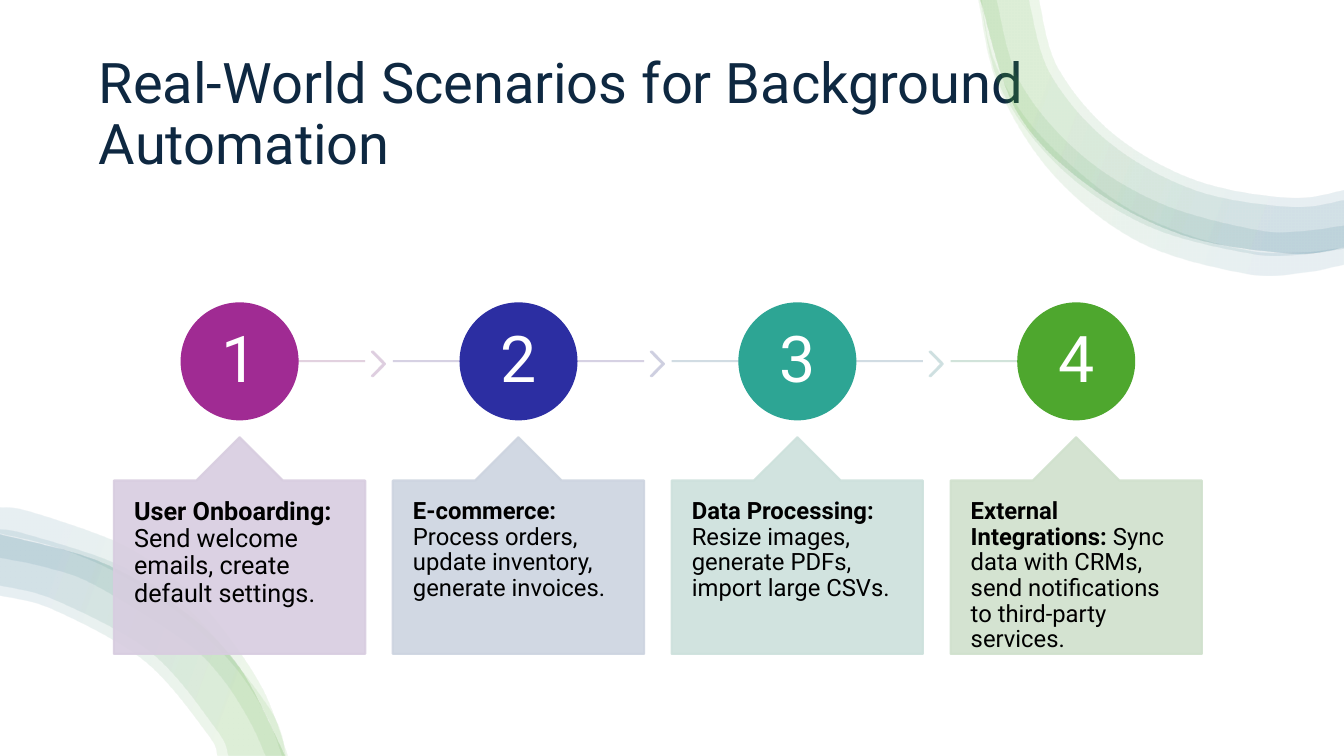
from lxml import etree
from pptx import Presentation
from pptx.dml.color import RGBColor
from pptx.enum.shapes import MSO_CONNECTOR, MSO_SHAPE
from pptx.enum.text import MSO_ANCHOR, MSO_AUTO_SIZE, PP_ALIGN
from pptx.oxml import parse_xml
from pptx.oxml.ns import nsdecls, qn
from pptx.util import Pt

STRAIGHT = MSO_CONNECTOR.STRAIGHT
RECTANGLE, CIRCLE, CHEVRON = MSO_SHAPE.RECTANGLE, MSO_SHAPE.OVAL, MSO_SHAPE.CHEVRON
CALLOUT = MSO_SHAPE.UP_ARROW_CALLOUT
LEFT, CENTER = PP_ALIGN.LEFT, PP_ALIGN.CENTER
TOP, MIDDLE = MSO_ANCHOR.TOP, MSO_ANCHOR.MIDDLE
NO_FIT = MSO_AUTO_SIZE.NONE


def paint(fill, color, opacity=100):
    fill.solid()
    fill.fore_color.rgb = RGBColor.from_string(color)
    if opacity < 100:
        tint = fill._xPr.find(".//" + qn("a:srgbClr"))
        etree.SubElement(tint, qn("a:alpha")).set("val", str(opacity * 1000))


def write(shape, text, heading="", size=17, color="000000",
          align=LEFT, anchor=TOP, inset=(7.2, 3.6)):
    frame = shape.text_frame
    frame.word_wrap = True
    frame.auto_size = NO_FIT
    frame.vertical_anchor = anchor
    frame.margin_left = frame.margin_right = Pt(inset[0])
    frame.margin_top = frame.margin_bottom = Pt(inset[1])
    para = frame.paragraphs[0]
    para.alignment = align
    para.line_spacing = 0.9
    for words, bold in ((heading, True), (text, False)):
        if words:
            span = para.add_run()
            span.text = words
            span.font.name = "Roboto"
            span.font.size = Pt(size)
            span.font.bold = bold
            paint(span.font.fill, color)


deck = Presentation()
deck.slide_width, deck.slide_height = Pt(960), Pt(540)
page = deck.slides.add_slide(deck.slide_layouts[5])

# Title on a white backdrop
title = page.shapes.title
title.left, title.top, title.width, title.height = Pt(63.4), Pt(36), Pt(833), Pt(93.6)
write(title, "Real-World Scenarios for Background Automation",
      size=40, color="0E2841", anchor=MIDDLE)
backdrop = page.shapes.add_shape(RECTANGLE, 0, 0, Pt(960), Pt(540))
paint(backdrop.fill, "FFFFFF")
backdrop.line.fill.background()
backdrop.shadow.inherit = False
title._element.addprevious(backdrop._element)

# Corner ribbons: each has an outer and an inner edge, given by knots
top_edge = [(700.6, 0), (726.5, 79.6), (777.6, 132.5), (845.3, 167.8),
            (920.9, 180.7), (960, 176.4)]
bottom_edge = [(203, 540), (168.9, 474.5), (124.6, 432), (69.3, 400.5), (0, 381.6)]
top_ribbons = [
    (top_edge,
     [(960, 135.4), (920.9, 141.1), (854.6, 128.9), (796.3, 96.5), (756, 49), (742.3, 0)]),
    (top_edge,
     [(960, 142.6), (920.9, 147.6), (852.5, 135.4), (792, 101.5), (750.2, 52.6), (735.1, 0)]),
    ([(700.6, 0), (715.7, 64.1), (758.9, 121), (820.1, 161.3), (892.1, 180.7),
      (929.5, 181.4), (960, 177.1)],
     [(960, 160.6), (928.1, 164.9), (894.2, 163.4), (828, 144.7), (771.1, 109.4),
      (728.6, 58.3), (712.1, 0)]),
    ([(699.1, 0), (713.5, 62.6), (753.1, 125.3), (814.3, 172.8), (889.9, 195.1),
      (930.2, 194.4), (960, 188.6)],
     [(960, 176.4), (928.8, 180), (892.1, 178.6), (839.5, 164.2), (791.3, 139),
      (738, 90.7), (710.6, 43.9), (701.3, 0)]),
]
bottom_ribbons = [
    ([(205.2, 540), (186.5, 491), (151.2, 439.9), (119.5, 410.4), (82.8, 387.4),
      (20.9, 365.8), (0, 362.9)],
     [(0, 381.6), (36, 390.2), (73.4, 404.6), (108.7, 424.8), (140.4, 449.3),
      (168.5, 478.1), (190.1, 511.9), (200.9, 540)]),
    (bottom_edge,
     [(0, 425.5), (38.2, 435.6), (103, 472.3), (147.6, 524.2), (154.8, 540)]),
    ([(203.8, 540), (193, 507.6), (144, 445), (112.3, 419.8), (76.3, 400.3),
      (17.3, 381.6), (0, 378.7)],
     [(0, 398.9), (31.7, 405.4), (67.7, 418.3), (131, 457.9), (157.7, 483.8),
      (177.8, 514.8), (189.4, 540)]),
    (bottom_edge,
     [(0, 418.3), (40.3, 429.1), (108, 466.6), (154.1, 521.3), (162.7, 540)]),
]
stops = "".join(
    f'<a:gs pos="{place * 1000}"><a:srgbClr val="{color}"><a:alpha val="10000"/></a:srgbClr></a:gs>'
    for place, color in ((16, "4EA72E"), (85, "156082")))

for ribbons, angle in ((top_ribbons, 20), (bottom_ribbons, 200)):
    for outer, inner in ribbons:
        # Two control points and an end point for each curve
        points = []
        for knots in (outer, inner):
            if points:
                points += [outer[-1], inner[0], inner[0]]
            padded = [knots[0], *knots, knots[-1]]
            for a, b, c, d in zip(padded, padded[1:], padded[2:], padded[3:]):
                points.append([q + (r - p) / 6 for p, q, r in zip(a, b, c)])
                points.append([r - (s - q) / 6 for q, r, s in zip(b, c, d)])
                points.append(c)
        builder = page.shapes.build_freeform(Pt(outer[0][0]), Pt(outer[0][1]))
        builder.add_line_segments([(Pt(x), Pt(y)) for x, y in points], close=True)
        ribbon = builder.convert_to_shape()

        # Join each three line segments into one curve
        segments = list(ribbon._element.iter(qn("a:lnTo")))
        for first, second, third in zip(segments[::3], segments[1::3], segments[2::3]):
            first.tag = qn("a:cubicBezTo")
            for segment in (second, third):
                first.append(segment[0])
                segment.getparent().remove(segment)
        ribbon.line.fill.background()
        ribbon.shadow.inherit = False
        ribbon._element.spPr.insert(2, parse_xml(
            f'<a:gradFill {nsdecls("a")} rotWithShape="1"><a:gsLst>{stops}</a:gsLst>'
            f'<a:lin ang="{angle * 60000}" scaled="0"/></a:gradFill>'))

# Scenarios: heading, text, text size, colours of circle, callout, line, chevron
scenarios = [
    ("User Onboarding:", " Send welcome emails, create default settings.", 18,
     "A02B93", "D8CDE0", "DFCDDC", "DDCDDF"),
    ("E-commerce:", " Process orders, update inventory, generate invoices.", 17,
     "2C2EA2", "CDD4E0", "D2CDE0", "CDCEE0"),
    ("Data Processing:", " Resize images, generate PDFs, import large CSVs.", 17,
     "2DA594", "CDE1DC", "CDD9E0", "CDDFE0"),
    ("External Integrations:",
     " Sync data with CRMs, send notifications to third-party services.", 17,
     "4EA72E", "D0E1CD", "CDE1D6", None),
]
first_left, pitch, card_width = 81.4, 199.2, 179.5
circle_size, line_y = 82.8, 257.9
last = len(scenarios) - 1

for index, (heading, text, size, strong, pale, line_color, chevron_color) in enumerate(scenarios):
    left = first_left + index * pitch
    middle = left + card_width / 2

    # Line behind the circle; the outer ends stop at the circle's centre
    line_start = middle if index == 0 else left
    line_end = middle if index == last else left + card_width
    line = page.shapes.add_connector(
        STRAIGHT, Pt(line_start), Pt(line_y), Pt(line_end), Pt(line_y))
    paint(line.line.fill, line_color, 90)
    line.line.width = Pt(1.5)
    etree.SubElement(line._element.spPr, qn("a:effectLst"))

    # Chevron, numbered circle and callout
    pieces = [
        (CIRCLE, middle - circle_size / 2, 216.7, circle_size, circle_size, strong, 100, []),
        (CALLOUT, left, 312.3, card_width, 154.8, pale, 90, [0.5, 0.2, 0.2, 1]),
    ]
    if chevron_color:
        pieces.insert(0, (CHEVRON, left + 184.3, 251.3, 9.4, 17.3, chevron_color, 90, [0.9]))
    for kind, x, y, width, height, color, opacity, adjustments in pieces:
        box = page.shapes.add_shape(kind, Pt(x), Pt(y), Pt(width), Pt(height))
        for number, value in enumerate(adjustments):
            box.adjustments[number] = value
        paint(box.fill, color, opacity)
        paint(box.line.fill, color, opacity)
        box.line.width = Pt(1.5)
        box.shadow.inherit = False
        if kind == CIRCLE:
            write(box, str(index + 1), size=46, color="FFFFFF",
                  align=CENTER, anchor=MIDDLE, inset=(2.9, 2.9))
        elif kind == CALLOUT:
            write(box, text, heading=heading, size=size, inset=(14.4, 13))

deck.save("out.pptx")
